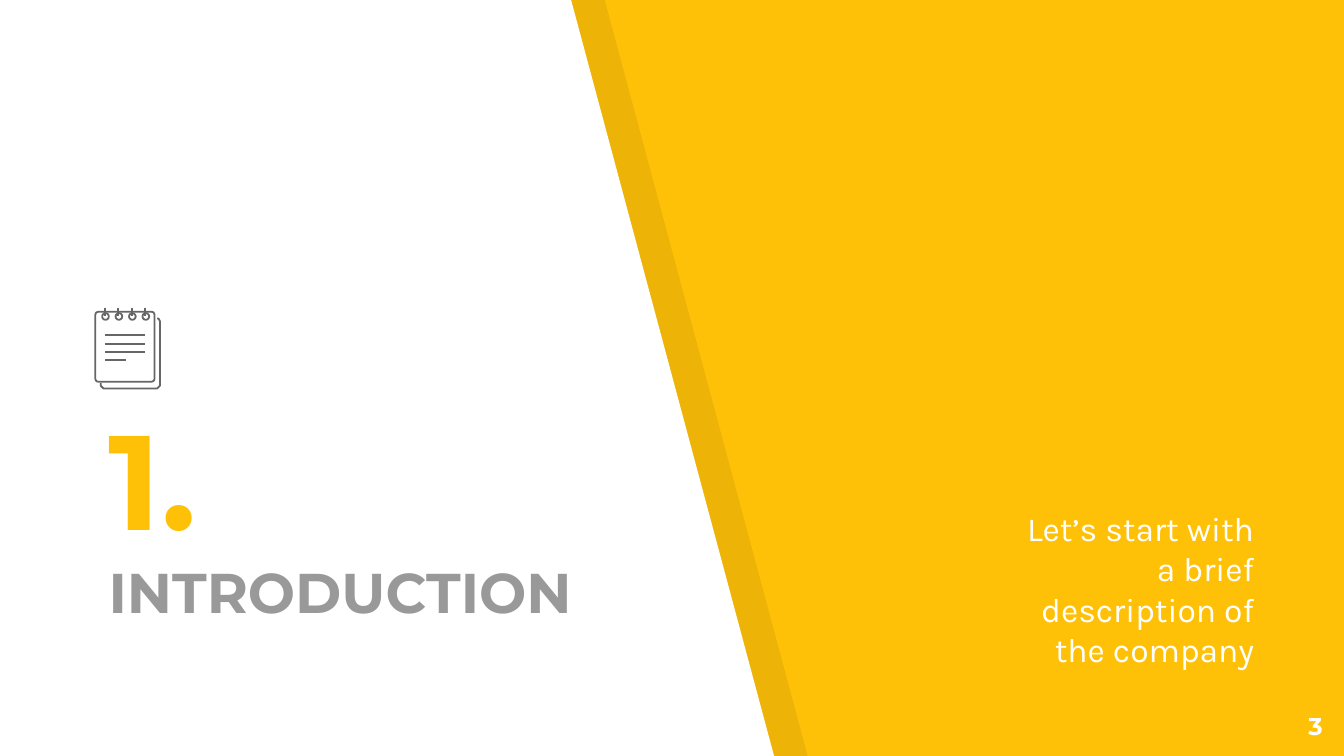
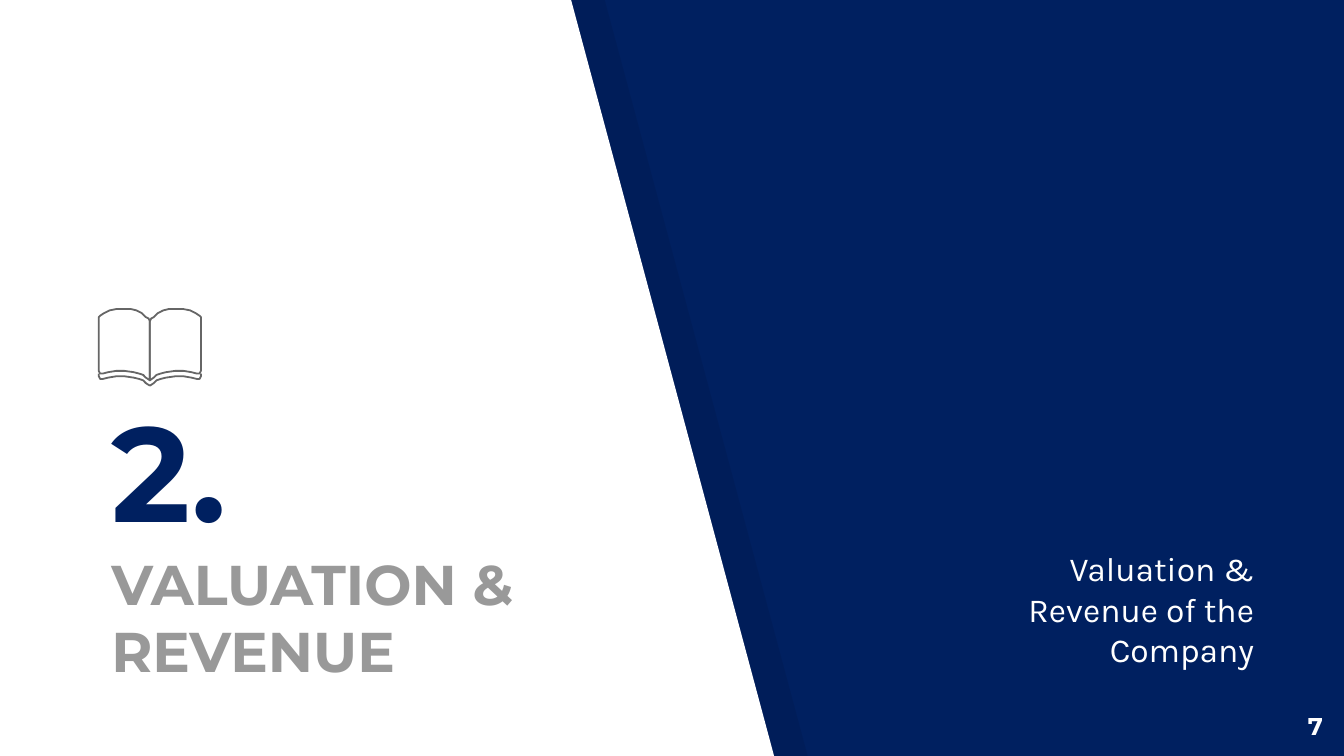
from collections import namedtuple
from dataclasses import dataclass

from lxml.etree import SubElement
from pptx import Presentation
from pptx.dml.color import RGBColor
from pptx.enum.shapes import MSO_CONNECTOR as Connector, MSO_SHAPE as Preset
from pptx.enum.text import MSO_ANCHOR as Anchor, PP_ALIGN as Align
from pptx.oxml.ns import qn
from pptx.util import Inches, Pt

Box = namedtuple("Box", "left top width height")
Style = namedtuple("Style", "font size color bold")


@dataclass(frozen=True)
class Theme:
    yellow: str = "FFC107"
    navy: str = "002060"
    white: str = "FFFFFF"
    grey: str = "999999"
    icon: str = "666666"
    band: str = "000000"
    band_alpha: int = 7
    heading_font: str = "Montserrat"
    body_font: str = "Karla"
    numeral_size: int = 72
    heading_size: int = 30
    body_size: int = 18
    page_size: int = 13
    icon_line: float = 0.96
    inset: float = 0.1


THEME = Theme()
SLIDE = Box(0, 0, 10, 10 * 9 / 16)
SUBTITLE = Box(7.35, 3.57, 2.08, 1.51)
PAGE_NUMBER = Box(9.34, 5.19, 0.6, 0.43)
PANEL_TOP, PANEL_BOTTOM, BAND_WIDTH = 4.25, 5.76, 0.25

BOOK_PAGE = [
    (0, 0.09), (0, 0.53), (0.03, 0.51), (0.05, 0.49), (0.08, 0.48),
    (0.12, 0.47), (0.19, 0.46), (0.25, 0.46), (0.31, 0.47), (0.35, 0.48),
    (0.37, 0.48), (0.38, 0.46), (0.38, 0.06), (0.37, 0.05), (0.34, 0.03),
    (0.3, 0.01), (0.25, 0), (0.19, 0), (0.14, 0), (0.1, 0.01),
    (0.06, 0.03), (0.03, 0.06), (0.01, 0.07),
]
BOOK_COVER = [
    (0, 0.57), (0.03, 0.55), (0.05, 0.53), (0.08, 0.52), (0.12, 0.51),
    (0.19, 0.5), (0.25, 0.5), (0.31, 0.51), (0.35, 0.52), (0.37, 0.52),
    (0.38, 0.5), (0.38, 0.48),
]
BACK_SHEET = [
    (0.04, 0.56), (0.04, 0.58), (0.05, 0.59), (0.06, 0.6), (0.46, 0.6),
    (0.47, 0.59), (0.48, 0.58), (0.48, 0.1), (0.47, 0.08), (0.46, 0.08),
]


def rgb(color):
    return RGBColor.from_string(color)


def outline(shapes, box, points, closed=True):
    spots = [(Inches(box.left + x), Inches(box.top + y)) for x, y in points]
    builder = shapes.build_freeform(*spots[0])
    builder.add_line_segments(spots[1:], close=closed)
    figure = builder.convert_to_shape()
    figure.shadow.inherit = False
    return figure


def paint(figure, color, alpha=None):
    figure.fill.solid()
    figure.fill.fore_color.rgb = rgb(color)
    figure.line.fill.background()
    if alpha is not None:
        tint = figure.fill._xPr.find(".//" + qn("a:srgbClr"))
        SubElement(tint, qn("a:alpha")).set("val", str(alpha * 1000))


def stroke(figure):
    figure.line.color.rgb = rgb(THEME.icon)
    figure.line.width = Pt(THEME.icon_line)


def sketch(figure):
    figure.fill.background()
    figure.shadow.inherit = False
    stroke(figure)


def rule(shapes, box, start, end):
    x1, y1, x2, y2 = (
        Inches(origin + offset)
        for origin, offset in zip((box.left, box.top) * 2, start + end)
    )
    stroke_line = shapes.add_connector(Connector.STRAIGHT, x1, y1, x2, y2)
    stroke(stroke_line)
    SubElement(stroke_line._element.spPr, qn("a:effectLst"))


def preset(shapes, kind, box, x, y, width, height):
    figure = shapes.add_shape(
        kind, Inches(box.left + x), Inches(box.top + y),
        Inches(width), Inches(height),
    )
    sketch(figure)
    return figure


def write(slide, box, lines, align=Align.LEFT, anchor=Anchor.TOP):
    frame = slide.shapes.add_textbox(*map(Inches, box)).text_frame
    frame.word_wrap = True
    frame.vertical_anchor = anchor
    frame.margin_left = frame.margin_right = Inches(THEME.inset)
    frame.margin_top = frame.margin_bottom = Inches(THEME.inset)
    for index, (text, style) in enumerate(lines):
        paragraph = frame.add_paragraph() if index else frame.paragraphs[0]
        paragraph.alignment = align
        run = paragraph.add_run()
        run.text = text
        run.font.name = style.font
        run.font.size = Pt(style.size)
        run.font.bold = style.bold
        run.font.color.rgb = rgb(style.color)


def slanted_panel(slide, box):
    corners = [(0, 0), (0, box.height), (PANEL_BOTTOM, box.height), (PANEL_TOP, 0)]
    band_box = box._replace(left=box.left + BAND_WIDTH)
    paint(outline(slide.shapes, band_box, corners), THEME.band, THEME.band_alpha)
    paint(outline(slide.shapes, box, corners), THEME.white)


def notepad(slide, box):
    shapes = slide.shapes.add_group_shape().shapes
    sketch(outline(shapes, box, BACK_SHEET, closed=False))
    sheet = preset(shapes, Preset.ROUNDED_RECTANGLE, box, 0, 0.03, 0.44, 0.52)
    sheet.adjustments[0] = 0.05
    for y, width in ((0.2, 0.3), (0.27, 0.3), (0.33, 0.3), (0.39, 0.16)):
        rule(shapes, box, (0.07, y), (0.07 + width, y))
    for ring in range(4):
        x = 0.07 + 0.1 * ring
        preset(shapes, Preset.OVAL, box, x - 0.02, 0.04, 0.05, 0.05)
        rule(shapes, box, (x, 0), (x, 0.06))


def open_book(slide, box):
    shapes = slide.shapes.add_group_shape().shapes
    for side in (-1, 1):
        for points, closed in ((BOOK_COVER, False), (BOOK_PAGE, True)):
            half = [(box.width / 2 + side * x, y) for x, y in points]
            sketch(outline(shapes, box, half, closed))


def section_slide(deck, color, numeral, heading, heading_box, subtitle, page,
                  draw_icon, icon_box):
    slide = deck.slides.add_slide(deck.slide_layouts[6])
    slide.background.fill.solid()
    slide.background.fill.fore_color.rgb = rgb(color)
    slanted_panel(slide, SLIDE)
    numeral_style = Style(THEME.heading_font, THEME.numeral_size, color, True)
    heading_style = Style(THEME.heading_font, THEME.heading_size, THEME.grey, True)
    body_style = Style(THEME.body_font, THEME.body_size, THEME.white, False)
    page_style = Style(THEME.heading_font, THEME.page_size, THEME.white, True)
    write(slide, heading_box, [(numeral, numeral_style), (heading, heading_style)],
          anchor=Anchor.BOTTOM)
    write(slide, SUBTITLE, [(subtitle, body_style)], Align.RIGHT, Anchor.BOTTOM)
    write(slide, PAGE_NUMBER, [(page, page_style)], Align.RIGHT)
    draw_icon(slide, icon_box)


def main():
    deck = Presentation()
    deck.slide_width = Inches(SLIDE.width)
    deck.slide_height = Inches(SLIDE.height)
    section_slide(
        deck, THEME.yellow, "1.", "INTRODUCTION", Box(0.71, 1.48, 3.85, 3.27),
        "Let’s start with a brief description of the company", "3",
        notepad, Box(0.71, 2.29, 0.48, 0.6),
    )
    section_slide(
        deck, THEME.navy, "2.", "VALUATION & REVENUE", Box(0.73, 1.92, 3.85, 3.27),
        "Valuation & Revenue of the Company", "7",
        open_book, Box(0.73, 2.3, 0.77, 0.57),
    )
    deck.save("out.pptx")


if __name__ == "__main__":
    main()
